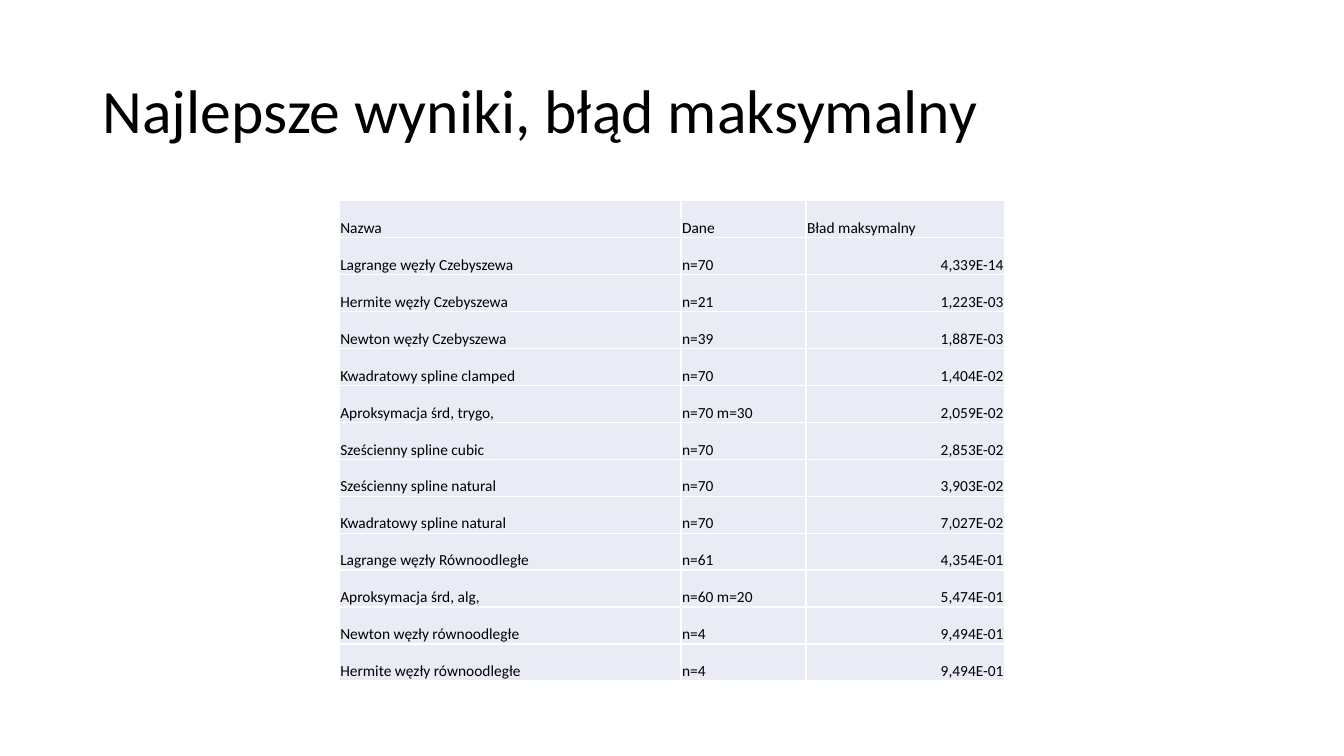
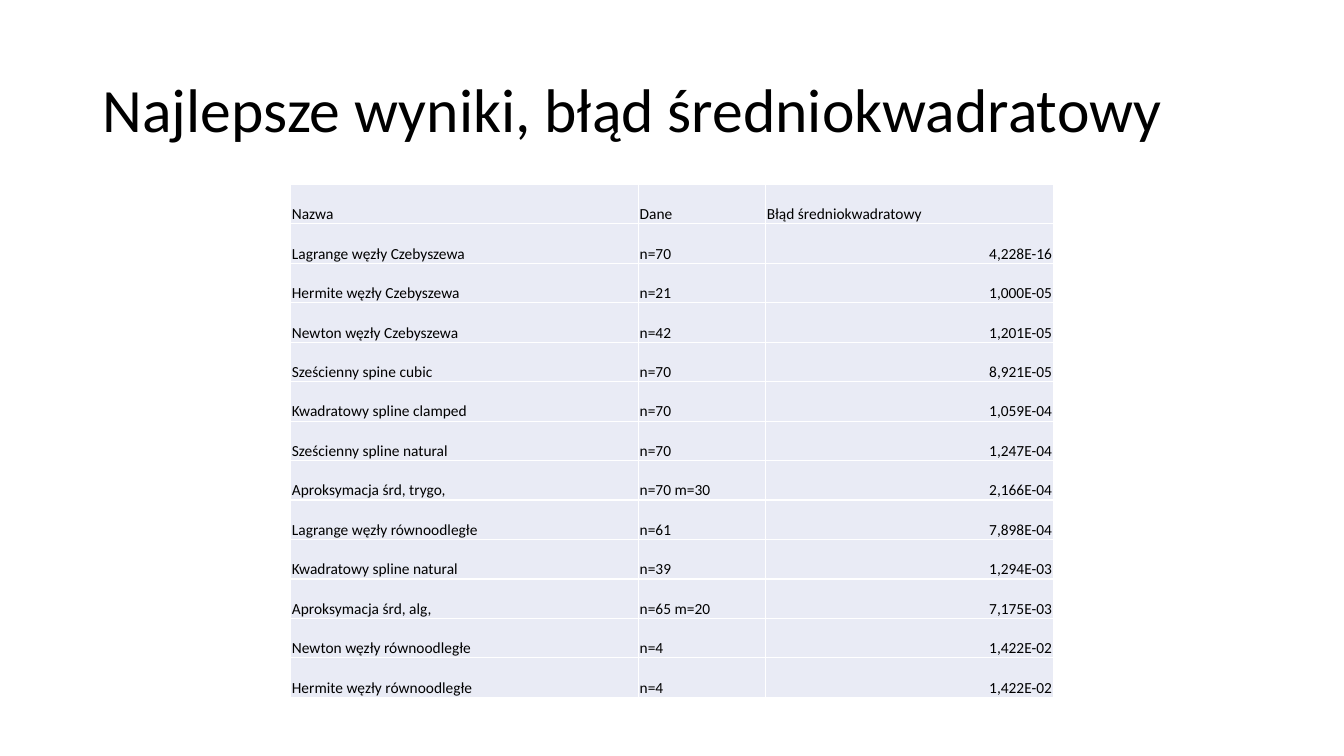
import dataclasses

import lxml.etree
import pptx
import pptx.dml.color
import pptx.enum.text
import pptx.oxml.ns
import pptx.util

Inches = pptx.util.Inches
Anchor = pptx.enum.text.MSO_ANCHOR
Align = pptx.enum.text.PP_ALIGN


@dataclasses.dataclass(frozen=True)
class Theme:
    """Colours, fonts and sizes that the slides share."""
    font: str = "Calibri"
    ink: str = "000000"
    fill: str = "E9EBF5"
    rule: str = "FFFFFF"
    head: int = 44
    body: int = 11
    line: int = 1
    wide: float = 13.33
    high: float = 7.5


THEME = Theme()

MAX_ROWS = [
    ("Nazwa", "Dane", "Bład maksymalny"),
    ("Lagrange węzły Czebyszewa", "n=70", "4,339E-14"),
    ("Hermite węzły Czebyszewa", "n=21", "1,223E-03"),
    ("Newton węzły Czebyszewa", "n=39", "1,887E-03"),
    ("Kwadratowy spline clamped", "n=70", "1,404E-02"),
    ("Aproksymacja śrd, trygo,", "n=70 m=30", "2,059E-02"),
    ("Sześcienny spline cubic", "n=70", "2,853E-02"),
    ("Sześcienny spline natural", "n=70", "3,903E-02"),
    ("Kwadratowy spline natural", "n=70", "7,027E-02"),
    ("Lagrange węzły Równoodległe", "n=61", "4,354E-01"),
    ("Aproksymacja śrd, alg,", "n=60 m=20", "5,474E-01"),
    ("Newton węzły równoodległe", "n=4", "9,494E-01"),
    ("Hermite węzły równoodległe", "n=4", "9,494E-01"),
]

MEAN_ROWS = [
    ("Nazwa", "Dane", "Błąd średniokwadratowy"),
    ("Lagrange węzły Czebyszewa", "n=70", "4,228E-16"),
    ("Hermite węzły Czebyszewa", "n=21", "1,000E-05"),
    ("Newton węzły Czebyszewa", "n=42", "1,201E-05"),
    ("Sześcienny spine cubic", "n=70", "8,921E-05"),
    ("Kwadratowy spline clamped", "n=70", "1,059E-04"),
    ("Sześcienny spline natural", "n=70", "1,247E-04"),
    ("Aproksymacja śrd, trygo,", "n=70 m=30", "2,166E-04"),
    ("Lagrange węzły równoodległe", "n=61", "7,898E-04"),
    ("Kwadratowy spline natural", "n=39", "1,294E-03"),
    ("Aproksymacja śrd, alg,", "n=65 m=20", "7,175E-03"),
    ("Newton węzły równoodległe", "n=4", "1,422E-02"),
    ("Hermite węzły równoodległe", "n=4", "1,422E-02"),
]


def tint(code):
    """Turn a hex code into a colour."""
    return pptx.dml.color.RGBColor.from_string(code)


def write(frame, text, size=THEME.body, align=Align.LEFT, space=None):
    """Put one formatted paragraph in a text frame."""
    par = frame.paragraphs[0]
    par.alignment = align
    par.line_spacing = space
    run = par.add_run()
    run.text = text
    run.font.name = THEME.font
    run.font.size = pptx.util.Pt(size)
    run.font.color.rgb = tint(THEME.ink)


def edge(cell):
    """Draw the four borders of a cell."""
    name = pptx.oxml.ns.qn
    props = cell._tc.get_or_add_tcPr()
    for side in ("a:lnL", "a:lnR", "a:lnT", "a:lnB"):
        line = lxml.etree.SubElement(props, name(side), w=str(pptx.util.Pt(THEME.line)))
        solid = lxml.etree.SubElement(line, name("a:solidFill"))
        lxml.etree.SubElement(solid, name("a:srgbClr"), val=THEME.rule)


def style(cell, text, align):
    """Fill, frame and label one cell."""
    edge(cell)
    cell.fill.solid()
    cell.fill.fore_color.rgb = tint(THEME.fill)
    cell.margin_left = cell.margin_right = cell.margin_top = Inches(0.01)
    cell.margin_bottom = 0
    cell.vertical_anchor = Anchor.BOTTOM
    write(cell.text_frame, text, align=align)


def title(slide, text, box):
    """Place the slide title in its box."""
    frame = slide.shapes.add_textbox(*map(Inches, box)).text_frame
    frame.word_wrap = True
    frame.vertical_anchor = Anchor.MIDDLE
    write(frame, text, size=THEME.head, space=0.9)


def grid(slide, rows, cols, top, high):
    """Place a table with equal rows, centred across the slide."""
    wide = sum(cols)
    box = ((THEME.wide - wide) / 2, top, wide, high)
    table = slide.shapes.add_table(len(rows), len(cols), *map(Inches, box)).table
    table.first_row = table.horz_banding = False
    for col, width in zip(table.columns, cols):
        col.width = Inches(width)
    for y, row in enumerate(rows):
        table.rows[y].height = Inches(high / len(rows))
        for x, text in enumerate(row):
            value = y > 0 and x == len(cols) - 1
            style(table.cell(y, x), text, Align.RIGHT if value else Align.LEFT)


def page(deck, text, rise, rows, cols, top, high):
    """Add one slide with a title and a table of results."""
    slide = deck.slides.add_slide(deck.slide_layouts[6])
    title(slide, text, (0.92, rise, 11.5, 1.45))
    grid(slide, rows, cols, top, high)


def main():
    """Build and save the deck."""
    deck = pptx.Presentation()
    deck.slide_width = Inches(THEME.wide)
    deck.slide_height = Inches(THEME.high)
    page(deck, "Najlepsze wyniki, błąd maksymalny", 0.4,
         MAX_ROWS, (3.39, 1.24, 1.97), 1.99, 4.77)
    page(deck, "Najlepsze wyniki, błąd średniokwadratowy", 0.39,
         MEAN_ROWS, (3.45, 1.26, 2.85), 1.83, 5.09)
    deck.save("out.pptx")


if __name__ == "__main__":
    main()
